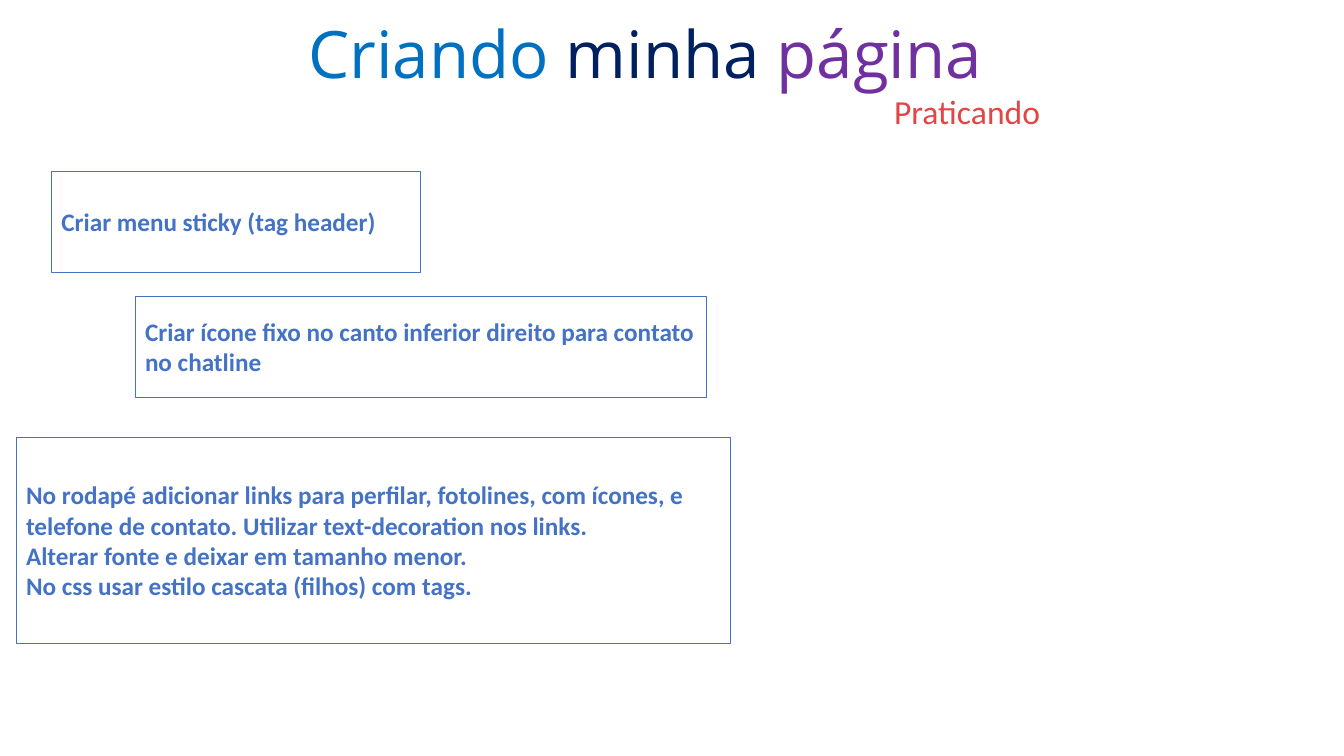
from dataclasses import dataclass
from typing import Any

from lxml.etree import SubElement
from pptx import Presentation
from pptx.dml.color import RGBColor as Color
from pptx.enum.shapes import MSO_SHAPE as Kind
from pptx.enum.text import MSO_ANCHOR as Anchor, MSO_AUTO_SIZE as Fit, PP_ALIGN as Align
from pptx.oxml.ns import qn
from pptx.util import Inches, Pt

WIDTH, HEIGHT = Inches(13.33), Inches(7.5)


@dataclass(frozen=True)
class Theme:
    head: str = "Open Sans"
    body: str = "Calibri"
    sky: str = "0070C0"
    navy: str = "002060"
    plum: str = "7030A0"
    red: str = "E44444"
    blue: str = "4472C4"
    white: str = "FFFFFF"
    big: float = 46.7
    mid: float = 24
    small: float = 18
    lead: float = 65.3
    edge: float = 0.75
    alpha: int = 60


@dataclass(frozen=True)
class Area:
    """Left, top, width and height in percent of the slide."""
    left: float
    top: float
    width: float
    height: float

    def place(self) -> dict[str, int]:
        return {"left": round(WIDTH * self.left / 100),
                "top": round(HEIGHT * self.top / 100),
                "width": round(WIDTH * self.width / 100),
                "height": round(HEIGHT * self.height / 100)}


@dataclass(frozen=True)
class Task:
    area: Area
    lines: tuple[str, ...]


THEME = Theme()
LOW = 13.33  # height of a short task box

WORDS = (("Criando ", THEME.sky), ("minha ", THEME.navy), ("página", THEME.plum))
TASKS = (
    Task(Area(3.83, 22.67, 27.46, LOW), ("Criar menu sticky (tag header)",)),
    Task(Area(10.05, 39.2, 42.54, LOW),
         ("Criar ícone fixo no canto inferior direito para contato no chatline",)),
    Task(Area(1.2, 57.87, 53.19, 27.2),
         ("No rodapé adicionar links para perfilar, fotolines, com ícones, e "
          "telefone de contato. Utilizar text-decoration nos links.",
          "Alterar fonte e deixar em tamanho menor.",
          "No css usar estilo cascata (filhos) com tags.")),
)


def apply(item: Any, look: dict[str, Any]) -> None:
    for key, value in look.items():
        setattr(item, key, value)


def write(para: Any, text: str, font: str, size: float, tint: str, bold: bool = False) -> None:
    run = para.add_run()
    run.text = text
    apply(run.font, {"name": font, "size": Pt(size), "bold": bold})
    run.font.color.rgb = Color.from_string(tint)


def add_title(slide: Any) -> None:
    title = slide.shapes.title
    apply(title, Area(-1.28, 0, 98.57, 11.33).place())
    frame = title.text_frame
    apply(frame, {"margin_left": 0, "margin_top": 0, "margin_right": 0, "margin_bottom": 0,
                  "vertical_anchor": Anchor.TOP, "word_wrap": True, "auto_size": Fit.NONE})
    para = frame.paragraphs[0]
    apply(para, {"alignment": Align.CENTER, "line_spacing": Pt(THEME.lead),
                 "space_before": Pt(0)})
    for text, tint in WORDS:
        write(para, text, THEME.head, THEME.big, tint)


def add_label(slide: Any) -> None:
    label = slide.shapes.add_textbox(**Area(65.79, 11.33, 12.53, 6.67).place())
    frame = label.text_frame
    apply(frame, {"word_wrap": False, "auto_size": Fit.SHAPE_TO_FIT_TEXT})
    write(frame.paragraphs[0], "Praticando", THEME.body, THEME.mid, THEME.red)


def add_task(slide: Any, task: Task) -> None:
    box = slide.shapes.add_shape(Kind.RECTANGLE, **task.area.place())
    box.shadow.inherit = False
    box.fill.solid()
    box.fill.fore_color.rgb = Color.from_string(THEME.white)
    # Fill opacity
    tone = box.fill._xPr.find(qn("a:solidFill"))[0]
    SubElement(tone, qn("a:alpha"), val=str(THEME.alpha * 1000))
    box.line.color.rgb = Color.from_string(THEME.blue)
    box.line.width = Pt(THEME.edge)
    frame = box.text_frame
    apply(frame, {"word_wrap": True, "vertical_anchor": Anchor.MIDDLE})
    for rank, text in enumerate(task.lines):
        para = frame.add_paragraph() if rank else frame.paragraphs[0]
        para.alignment = Align.LEFT
        write(para, text, THEME.body, THEME.small, THEME.blue, True)


def main() -> None:
    deck = Presentation()
    apply(deck, {"slide_width": WIDTH, "slide_height": HEIGHT})
    slide = deck.slides.add_slide(deck.slide_layouts.get_by_name("Title Only"))

    # Heading
    add_title(slide)
    add_label(slide)

    # Task boxes
    for task in TASKS:
        add_task(slide, task)

    deck.save("out.pptx")


if __name__ == "__main__":
    main()
